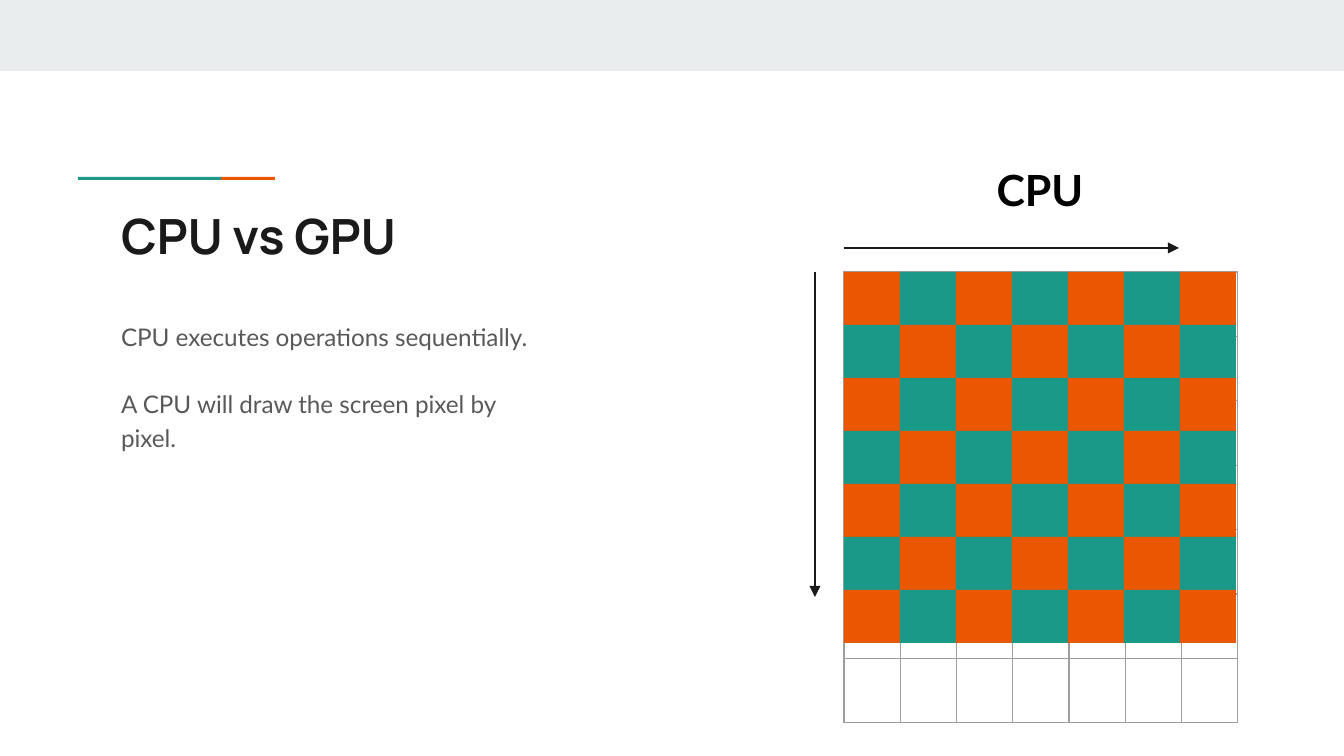
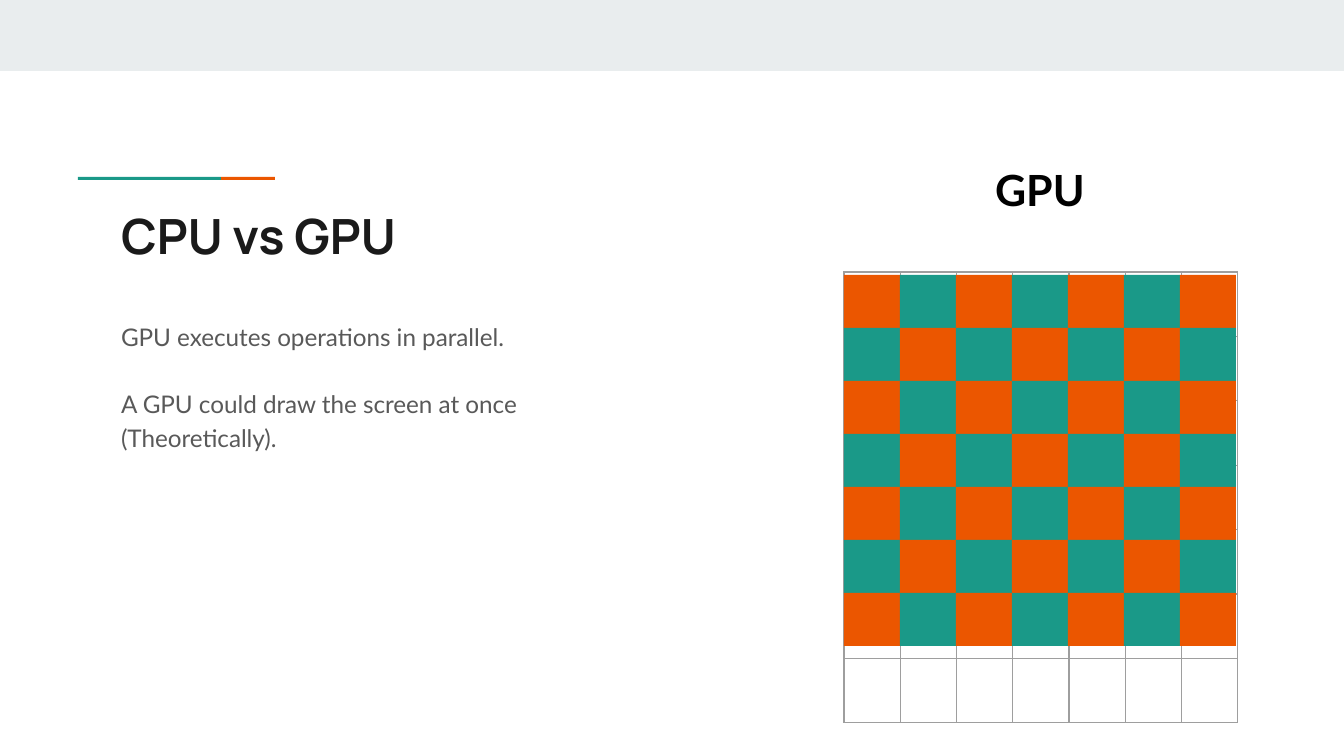
from lxml import etree
from pptx import Presentation
from pptx.dml.color import RGBColor
from pptx.enum.shapes import MSO_CONNECTOR, MSO_SHAPE
from pptx.enum.text import MSO_ANCHOR, MSO_AUTO_SIZE, PP_ALIGN
from pptx.oxml.ns import qn
from pptx.util import Emu, Pt

RECTANGLE = MSO_SHAPE.RECTANGLE
STRAIGHT = MSO_CONNECTOR.STRAIGHT
TOP = MSO_ANCHOR.TOP
NO_AUTOFIT = MSO_AUTO_SIZE.NONE
LEFT, CENTER = PP_ALIGN.LEFT, PP_ALIGN.CENTER

COLORS = {
    "band": "E9EDEE",
    "teal": "1A9988",
    "orange": "EB5600",
    "ink": "1A1A1A",
    "body": "595959",
    "black": "000000",
    "grid": "9E9E9E",
}

TITLE = "CPU vs GPU"
PROCESSORS = [
    {
        "label": "CPU",
        "lines": [
            "CPU executes operations sequentially.",
            "A CPU will draw the screen pixel by pixel.",
        ],
        "pixels_top": 272,
        "scan_arrows": [(844, 248, 1179, 248), (815, 272, 815, 597)],
    },
    {
        "label": "GPU",
        "lines": [
            "GPU executes operations in parallel.",
            "A GPU could draw the screen at once (Theoretically).",
        ],
        "pixels_top": 275,
        "scan_arrows": [],
    },
]

SLIDE_WIDTH, SLIDE_HEIGHT = 1344, 756
DECORATION = [
    ("band", (0, 0, SLIDE_WIDTH, 71)),
    ("teal", (78, 177, 143, 3)),
    ("orange", (221, 177, 54, 3)),
]
TITLE_BOX = (108, 193, 564, 79)
BODY_BOX = (108, 305, 444, 332)
LABEL_BOX = (946, 151, 188, 74)
SCREEN_BOX = (844, 272, 394, 451)
GRID_COUNT = 7
PIXEL_WIDTH, PIXEL_HEIGHT = 56, 53
INSET = 13
EMU_PER_PX = 9144000 / SLIDE_WIDTH


def px(length):
    return Emu(round(length * EMU_PER_PX))


def rgb(name):
    return RGBColor.from_string(COLORS[name])


def write(box, area, lines, size, font, color, bold=False, align=LEFT,
          spacing=1.0, gap=0):
    box.left, box.top, box.width, box.height = map(px, area)
    frame = box.text_frame
    frame.word_wrap = True
    frame.auto_size = NO_AUTOFIT
    frame.vertical_anchor = TOP
    frame.margin_left = frame.margin_right = px(INSET)
    frame.margin_top = frame.margin_bottom = px(INSET)
    frame.text = "\n".join(lines)
    for paragraph in frame.paragraphs:
        properties = paragraph._p.get_or_add_pPr()
        properties.set("marL", "0")
        properties.set("indent", "0")
        etree.SubElement(properties, qn("a:buNone"))
        paragraph.alignment = align
        paragraph.line_spacing = spacing
        paragraph.space_before = Pt(0)
        paragraph.space_after = Pt(gap)
        for run in paragraph.runs:
            run.font.size = Pt(size)
            run.font.name = font
            run.font.bold = bold
            run.font.color.rgb = rgb(color)


def add_block(slide, area, color):
    block = slide.shapes.add_shape(RECTANGLE, *map(px, area))
    block.shadow.inherit = False
    block.fill.solid()
    block.fill.fore_color.rgb = rgb(color)
    block.line.fill.background()
    return block


def decorate_layout(layout, slide):
    for depth, (color, area) in enumerate(DECORATION, start=2):
        block = add_block(slide, area, color)
        layout.shapes.element.insert(depth, block.element)


def add_screen_grid(slide):
    frame = slide.shapes.add_table(GRID_COUNT, GRID_COUNT, *map(px, SCREEN_BOX))
    table = frame.table
    table.first_row = table.horz_banding = False
    for column in table.columns:
        column.width = px(SCREEN_BOX[2] / GRID_COUNT)
    for row in table.rows:
        row.height = px(SCREEN_BOX[3] / GRID_COUNT)
    for cell in table.iter_cells():
        properties = cell._tc.get_or_add_tcPr()
        for side in ("lnL", "lnR", "lnT", "lnB"):
            border = etree.SubElement(properties, qn(f"a:{side}"), w=str(Pt(0.75)))
            fill = etree.SubElement(border, qn("a:solidFill"))
            etree.SubElement(fill, qn("a:srgbClr"), val=COLORS["grid"])
        cell.fill.background()


def add_pixels(slide, top):
    for row in range(GRID_COUNT):
        for column in range(GRID_COUNT):
            area = (SCREEN_BOX[0] + column * PIXEL_WIDTH,
                    top + row * PIXEL_HEIGHT, PIXEL_WIDTH, PIXEL_HEIGHT)
            add_block(slide, area, ("orange", "teal")[(row + column) % 2])


def add_arrow(slide, ends):
    arrow = slide.shapes.add_connector(STRAIGHT, *map(px, ends))
    arrow.line.color.rgb = rgb("ink")
    arrow.line.width = Pt(0.75)
    properties = arrow.element.spPr
    etree.SubElement(properties.find(qn("a:ln")), qn("a:tailEnd"), type="triangle")
    etree.SubElement(properties, qn("a:effectLst"))


def build_slide(slide, processor):
    title, body = slide.placeholders
    write(title, TITLE_BOX, [TITLE], 26, "Manrope", "ink", bold=True)
    write(body, BODY_BOX, processor["lines"], 13, "Lato", "body",
          spacing=1.15, gap=18)
    add_screen_grid(slide)
    for ends in processor["scan_arrows"]:
        add_arrow(slide, ends)
    label = slide.shapes.add_textbox(*map(px, LABEL_BOX))
    write(label, LABEL_BOX, [processor["label"]], 23, "Lato", "black",
          bold=True, align=CENTER)
    add_pixels(slide, processor["pixels_top"])


def main():
    deck = Presentation()
    deck.slide_width, deck.slide_height = px(SLIDE_WIDTH), px(SLIDE_HEIGHT)
    layout = deck.slide_layouts[1]
    slides = [deck.slides.add_slide(layout) for _ in PROCESSORS]
    decorate_layout(layout, slides[0])
    for slide, processor in zip(slides, PROCESSORS):
        build_slide(slide, processor)
    deck.save("out.pptx")


if __name__ == "__main__":
    main()
